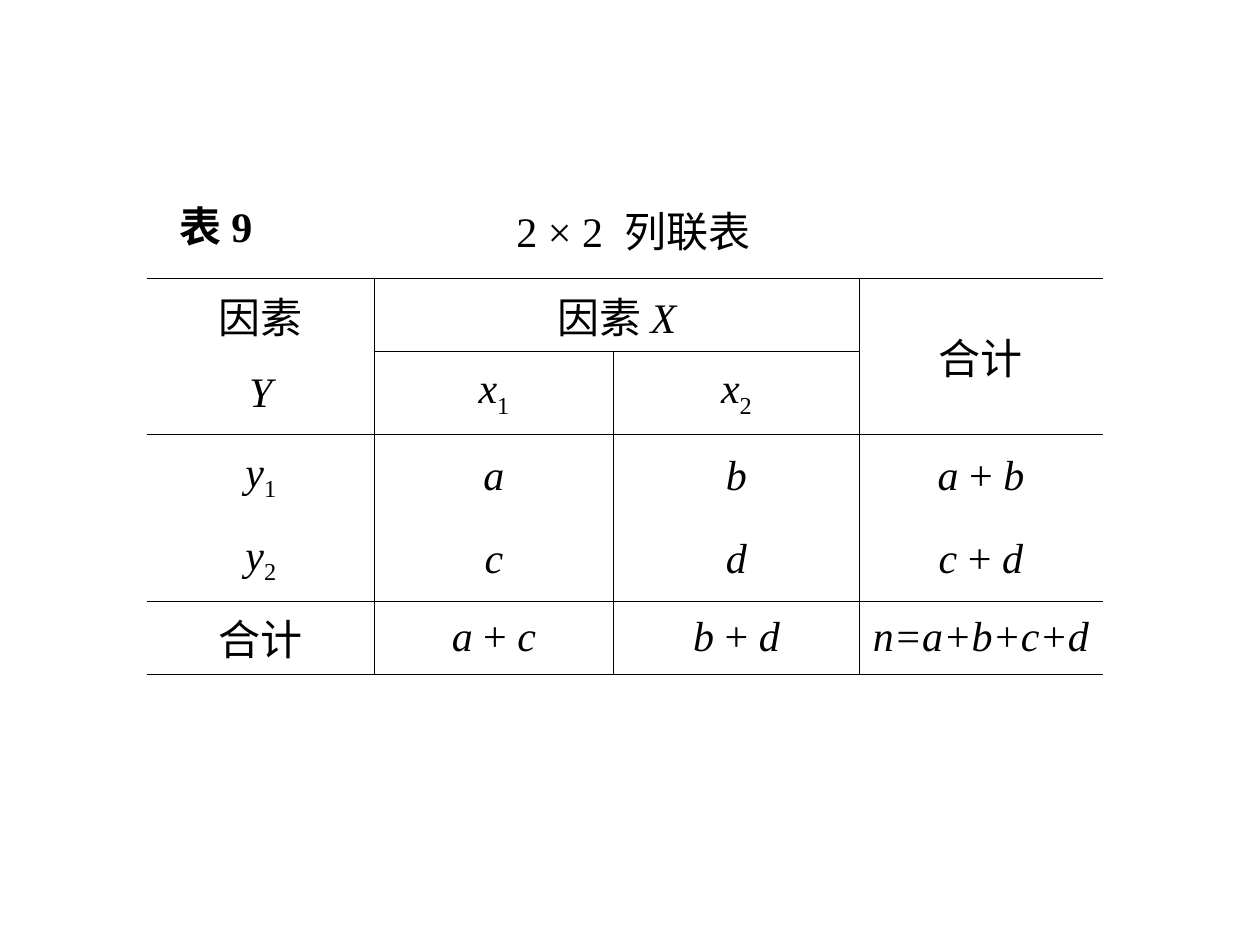
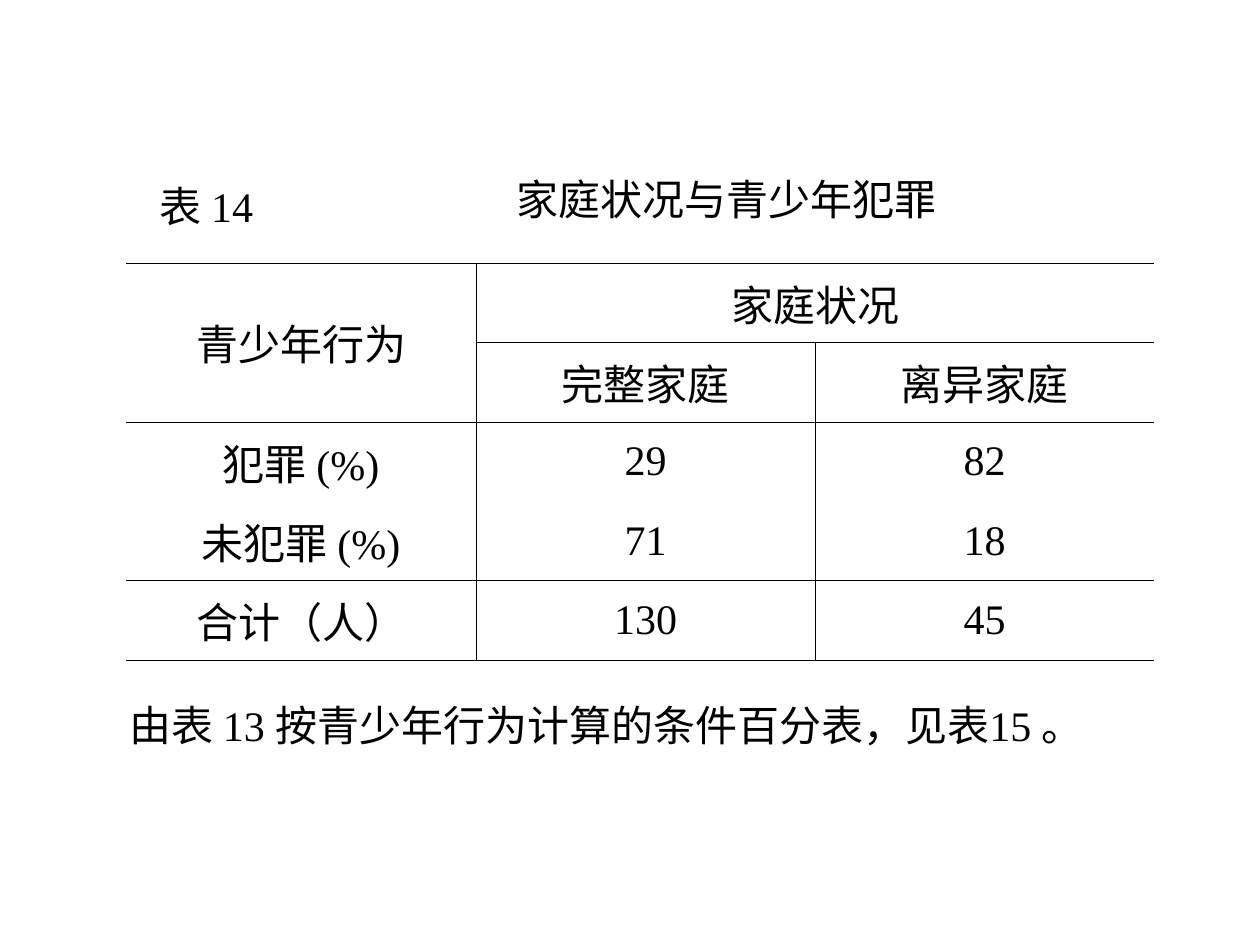
from lxml.etree import SubElement
from pptx import Presentation
from pptx.dml.color import RGBColor
from pptx.enum.text import MSO_ANCHOR as Anchor, PP_ALIGN as Align
from pptx.oxml.ns import qn
from pptx.util import Inches, Pt

COLORS = {"ink": "000000"}
FONT, TEXT_SIZE, RULE_WIDTH = "Times New Roman", Pt(24), Pt(0.45)
FULL_RULES = (0, 2, 4, 5)  # row boundaries ruled from side to side
FACTOR_RULE, FACTOR_COLS = 1, (1, 2)  # short rule under the factor heading


def italic(text):
    return text, {"italic": True}


def bold(text):
    return text, {"bold": True}


def subscript(text):
    return text, {"subscript": True}


def indexed(letter, index):
    return [italic(letter), subscript(index)]


def total(first, second):
    return [italic(first), " + ", italic(second)]


# A text is a plain string or a list of runs; None is covered by a merge.
# Boxes are left, top, width, height; merges are first and last cell.
SLIDES = [
    {
        "number": ([bold("表 9")], (1.33, 1.58, 1.67, 0.42)),
        "caption": ("2 × 2  列联表", (4, 1.58, 2.58, 0.5)),
        "corner": (1.17, 2.21),
        "cols": (1.8, 1.9, 1.95, 1.93),
        "rows": (0.58, 0.66, 0.66, 0.66, 0.58),
        "merges": [((0, 1), (0, 2)), ((0, 3), (1, 3))],
        "cells": [
            ["因素", ["因素 ", italic("X")], None, "合计"],
            [[italic("Y")], indexed("x", "1"), indexed("x", "2"), None],
            [indexed("y", "1"), [italic("a")], [italic("b")], total("a", "b")],
            [indexed("y", "2"), [italic("c")], [italic("d")], total("c", "d")],
            ["合计", total("a", "c"), total("b", "d"), [italic("n=a+b+c+d")]],
        ],
    },
    {
        "number": ("表 14", (1.17, 1.42, 1.67, 0.42)),
        "caption": ("家庭状况与青少年犯罪", (4, 1.33, 4.5, 0.5)),
        "note": ("由表 13 按青少年行为计算的条件百分表，见表15 。",
                 (0.93, 5.5, 8.09, 0.5)),
        "corner": (1, 2.09),
        "cols": (2.78, 2.69, 2.69),
        "rows": (0.63,) * 5,
        "merges": [((0, 0), (1, 0)), ((0, 1), (0, 2))],
        "cells": [
            ["青少年行为", "家庭状况", None],
            [None, "完整家庭", "离异家庭"],
            ["犯罪 (%)", "29", "82"],
            ["未犯罪 (%)", "71", "18"],
            ["合计（人）", "130", "45"],
        ],
    },
]


def write(frame, text, align=Align.LEFT):
    para = frame.paragraphs[0]
    para.alignment = align
    for part in [text] if isinstance(text, str) else text:
        words, style = (part, {}) if isinstance(part, str) else part
        span = para.add_run()
        span.text = words
        font = span.font
        font.name, font.size = FONT, TEXT_SIZE
        font.bold = style.get("bold", False)
        font.italic = style.get("italic", False)
        font.color.rgb = RGBColor.from_string(COLORS["ink"])
        if style.get("subscript"):
            span._r.get_or_add_rPr().set("baseline", "-25000")


def add_text(page, text, box, anchor=Anchor.TOP, wrap=True):
    frame = page.shapes.add_textbox(*map(Inches, box)).text_frame
    frame.word_wrap = wrap
    frame.vertical_anchor = anchor
    write(frame, text)


def set_borders(cell, sides):
    """Draw the sides marked True and hide the rest; keys are L, R, T, B."""
    props = cell._tc.get_or_add_tcPr()
    for place, (side, shown) in enumerate(sides.items()):
        line = SubElement(props, qn(f"a:ln{side}"), w=str(int(RULE_WIDTH)))
        props.insert(place, line)
        if shown:
            fill = SubElement(line, qn("a:solidFill"))
            SubElement(fill, qn("a:srgbClr"), val=COLORS["ink"])
        else:
            SubElement(line, qn("a:noFill"))


def find_sides(row, col, merges, col_count):
    """Tell which sides of a cell carry a rule."""
    first, last = (row, col), (row, col)
    for start, end in merges:
        if start[0] <= row <= end[0] and start[1] <= col <= end[1]:
            first, last = start, end
    bottom, right = (last if (row, col) == first else (row, col))

    def across(edge):
        inside = first[0] < edge <= last[0]
        short = edge == FACTOR_RULE and col in FACTOR_COLS
        return not inside and (edge in FULL_RULES or short)

    def down(edge):
        return 0 < edge < col_count and not first[1] < edge <= last[1]

    return {"L": down(col), "R": down(right + 1),
            "T": across(row), "B": across(bottom + 1)}


def add_ruled_table(page, corner, cols, rows, merges, cells):
    size = sum(cols), sum(rows)
    table = page.shapes.add_table(len(rows), len(cols),
                                  *map(Inches, corner + size)).table
    table.first_row = table.horz_banding = False
    for column, width in zip(table.columns, cols):
        column.width = Inches(width)
    for line, height in zip(table.rows, rows):
        line.height = Inches(height)
    for start, end in merges:
        table.cell(*start).merge(table.cell(*end))
    for row, texts in enumerate(cells):
        for col, text in enumerate(texts):
            cell = table.cell(row, col)
            cell.fill.background()
            cell.vertical_anchor = Anchor.MIDDLE
            set_borders(cell, find_sides(row, col, merges, len(cols)))
            if text:
                write(cell.text_frame, text, Align.CENTER)


def main():
    deck = Presentation()
    deck.slide_width, deck.slide_height = Inches(10), Inches(7.5)
    for content in SLIDES:
        page = deck.slides.add_slide(deck.slide_layouts[6])
        add_text(page, *content["number"], anchor=Anchor.MIDDLE)
        add_ruled_table(page, *(content[key] for key in
                                ("corner", "cols", "rows", "merges", "cells")))
        add_text(page, *content["caption"])
        if "note" in content:
            add_text(page, *content["note"], wrap=False)
    deck.save("out.pptx")


if __name__ == "__main__":
    main()
